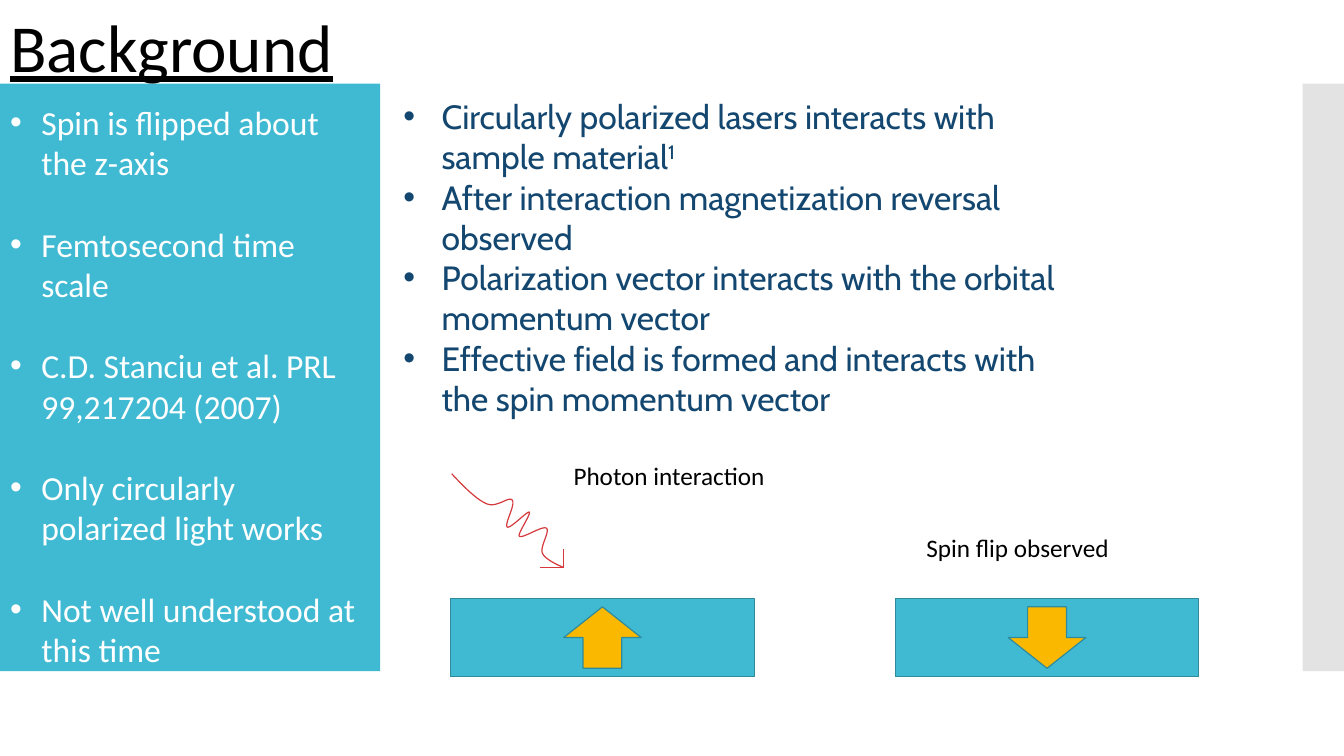
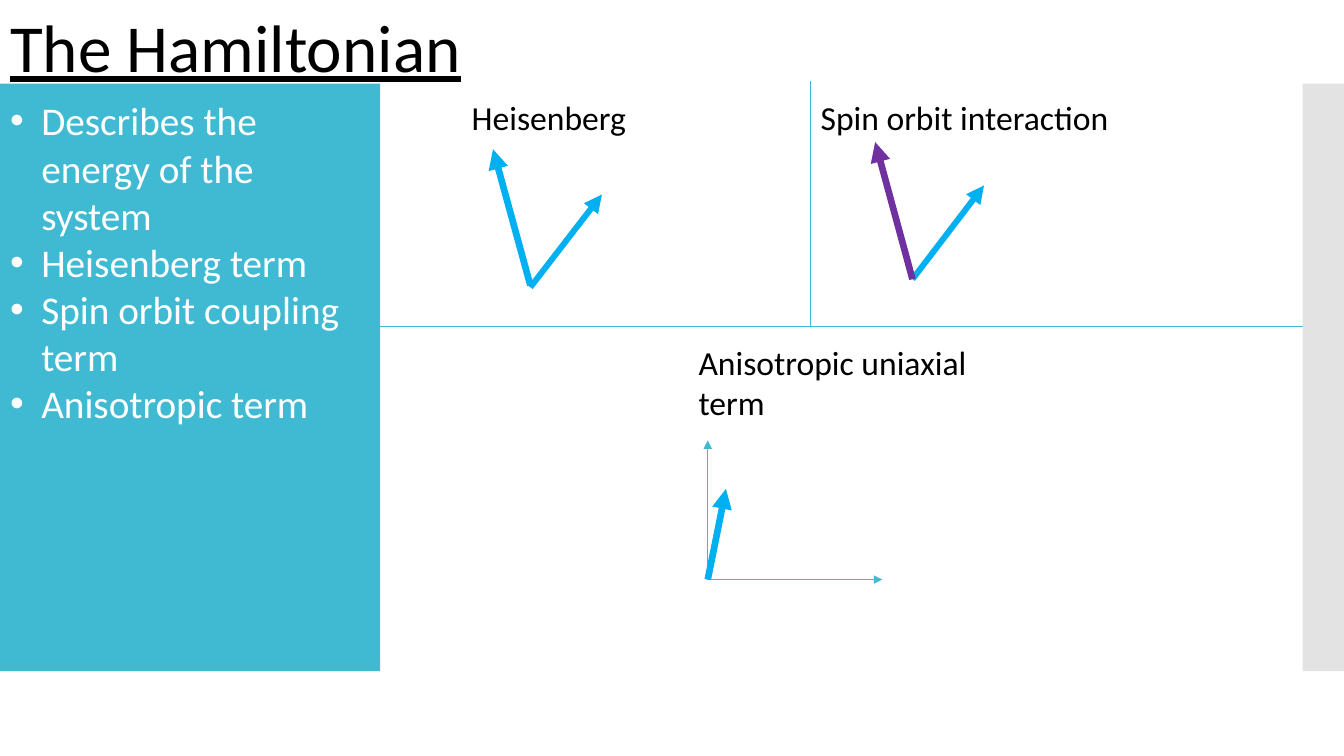
from lxml.etree import SubElement
from pptx import Presentation
from pptx.dml.color import RGBColor
from pptx.enum.shapes import MSO_CONNECTOR, MSO_SHAPE
from pptx.enum.text import MSO_ANCHOR, MSO_AUTO_SIZE, PP_ALIGN
from pptx.oxml.ns import qn
from pptx.util import Inches, Pt

hue = RGBColor.from_string
TEAL, EDGE, GOLD, GREY = "40BAD2", "2F8A9B", "FAB900", "C8C8C8"
BLACK, WHITE, NAVY = "000000", "FFFFFF", "134770"
RED, BLUE, PURPLE = "D5393D", "00B0F0", "7030A0"


def write(para, text, size, color, face="Calibri"):
    run = para.add_run()
    run.text = text
    run.font.size = Pt(size)
    run.font.name = face
    run.font.color.rgb = hue(color)
    return run


def draw(slide, start, end, color, width=0.75, arrow=True):
    """Add a straight line, with an arrowhead at its end unless told otherwise."""
    ends = [Inches(n) for n in (*start, *end)]
    line = slide.shapes.add_connector(MSO_CONNECTOR.STRAIGHT, *ends)
    line.line.color.rgb = hue(color)
    line.line.width = Pt(width)
    if arrow:
        SubElement(line.get_or_add_ln(), qn("a:tailEnd"), type="triangle")
    SubElement(line.element.spPr, qn("a:effectLst"))


prs = Presentation()
prs.slide_width, prs.slide_height = Inches(13.33), Inches(7.5)
spin = prs.slides.add_slide(prs.slide_layouts[3])
terms = prs.slides.add_slide(prs.slide_layouts[1])

# Side bands, shared through the master
tree = prs.slide_master.shapes.element
for left, width, color in ((0, 3.77, TEAL), (12.92, 0.41, GREY)):
    band = spin.shapes.add_shape(
        MSO_SHAPE.RECTANGLE, Inches(left), Inches(0.83), Inches(width), Inches(5.83))
    band.shadow.inherit = False
    band.fill.solid()
    band.fill.fore_color.rgb = hue(color)
    band.line.fill.background()
    if color == GREY:
        tint = band.element.find(".//" + qn("a:srgbClr"))
        SubElement(tint, qn("a:alpha"), val="50000")
    tree.insert(2, band.element)

# Titles
for slide, text, width in ((spin, "Background", 12.49), (terms, "The Hamiltonian", 9.76)):
    title = slide.shapes.title
    title.left, title.top = Inches(0), Inches(0)
    title.width, title.height = Inches(width), Inches(0.91)
    title.text_frame.auto_size = MSO_AUTO_SIZE.NONE
    title.text_frame.vertical_anchor = MSO_ANCHOR.TOP
    para = title.text_frame.paragraphs[0]
    para.alignment = PP_ALIGN.LEFT
    write(para, text, 48, BLACK).font.underline = True

# Bulleted lists: holder, place, indent, size, gap, colour, font, items
lists = (
    (spin.placeholders[1], (0, 0.96, 3.68, 5.76), 0.31, 24, 29.3, WHITE, "Calibri", (
        "Spin is flipped about the z-axis",
        "Femtosecond time scale",
        "C.D. Stanciu et al. PRL 99,217204 (2007)",
        "Only circularly polarized light works",
        "Not well understood at this time")),
    (spin.placeholders[2], (3.9, 0.9, 6.67, 3.33), 0.38, 24, 0, NAVY, "Cabin", (
        "Circularly polarized lasers interacts with sample material",
        "After interaction magnetization reversal observed",
        "Polarization vector interacts with the orbital momentum vector",
        "Effective field is formed and interacts with the spin momentum vector")),
    (terms.placeholders[1], (0, 0.91, 3.73, 3.4), 0.31, 28, 0, WHITE, "Calibri", (
        "Describes the energy of the system",
        "Heisenberg term",
        "Spin orbit coupling term",
        "Anisotropic term")),
)
for body, place, indent, size, gap, color, face, items in lists:
    body.left, body.top, body.width, body.height = [Inches(n) for n in place]
    frame = body.text_frame
    frame.auto_size = MSO_AUTO_SIZE.NONE
    for i, item in enumerate(items):
        para = frame.add_paragraph() if i else frame.paragraphs[0]
        para.space_before = Pt(gap if i else 0)
        props = para._p.get_or_add_pPr()
        props.set("marL", str(Inches(indent)))
        props.set("indent", str(-Inches(indent)))
        write(para, item, size, color, face)

lead = spin.placeholders[2].text_frame.paragraphs[0]
note = write(lead, "1", 24, NAVY, "Cabin")
note._r.get_or_add_rPr().set("baseline", "30000")

# Labels
for slide, text, size, *place in (
    (spin, "Photon interaction", 18, 5.59, 4.52, 2.37, 0.4),
    (spin, "Spin flip observed", 18, 9.09, 5.23, 2.64, 0.4),
    (terms, "Heisenberg", 24, 4.58, 0.91, 3.05, 0.5),
    (terms, "Spin orbit interaction", 24, 8.04, 0.91, 4.11, 0.5),
    (terms, "Anisotropic uniaxial term", 24, 6.83, 3.34, 2.88, 1.21),
):
    label = slide.shapes.add_textbox(*[Inches(n) for n in place])
    label.text_frame.word_wrap = True
    write(label.text_frame.paragraphs[0], text, size, BLACK)

# Samples before and after the spin flip
for left, turn in ((4.47, 180), (8.88, 0)):
    for kind, color, angle, *place in (
        (MSO_SHAPE.RECTANGLE, TEAL, 0, left, 5.94, 3.01, 0.77),
        (MSO_SHAPE.DOWN_ARROW, GOLD, turn, left + 1.12, 6.02, 0.77, 0.61),
    ):
        part = spin.shapes.add_shape(kind, *[Inches(n) for n in place])
        part.rotation = angle
        part.shadow.inherit = False
        part.fill.solid()
        part.fill.fore_color.rgb = hue(color)
        part.line.color.rgb = hue(EDGE)
        part.line.width = Pt(0.85)

# Photon: Bézier pieces, each two control points and an end, drawn in short steps
start = (4.48, 4.7)
curves = (
    ((4.6, 4.83), (4.73, 4.96), (4.83, 5)),
    ((4.93, 5.04), (5.05, 4.92), (5.08, 4.96)),
    ((5.12, 5), (5, 5.2), (5.03, 5.23)),
    ((5.06, 5.25), (5.23, 5.07), (5.25, 5.08)),
    ((5.27, 5.1), (5.13, 5.3), (5.15, 5.32)),
    ((5.18, 5.35), (5.38, 5.21), (5.42, 5.24)),
    ((5.46, 5.27), (5.35, 5.43), (5.38, 5.49)),
    ((5.41, 5.56), (5.59, 5.63), (5.59, 5.63)),
)
steps = 10
dots = []
last = start
for one, two, end in curves:
    for i in range(1, steps + 1):
        t = i / steps
        u = 1 - t
        dots.append([
            Inches(u**3 * a + 3 * u * u * t * b + 3 * u * t * t * c + t**3 * d)
            for a, b, c, d in zip(last, one, two, end)])
    last = end
pen = spin.shapes.build_freeform(Inches(start[0]), Inches(start[1]))
pen.add_line_segments(dots, close=False)
wave = pen.convert_to_shape()
wave.shadow.inherit = False
wave.fill.background()
wave.line.color.rgb = hue(RED)
wave.line.width = Pt(0.85)
for end in ((5.59, 5.45), (5.36, 5.63)):
    draw(spin, last, end, RED, arrow=False)

# Vectors of the three terms
for start, end, color, width in (
    ((5.26, 2.85), (5.97, 1.93), BLUE, 4.25),
    ((5.26, 2.83), (4.89, 1.48), BLUE, 4.75),
    ((9.05, 2.77), (9.76, 1.84), BLUE, 4.25),
    ((9.05, 2.77), (8.68, 1.41), PURPLE, 4.75),
    ((7.02, 5.75), (7.02, 4.37), TEAL, 0.75),
    ((7.02, 5.75), (8.75, 5.75), TEAL, 0.75),
    ((7.02, 5.75), (7.2, 4.85), BLUE, 4.75),
):
    draw(terms, start, end, color, width)

# Dividers between the terms
draw(terms, (3.73, 3.24), (12.92, 3.24), TEAL, arrow=False)
draw(terms, (8.04, 3.24), (8.04, 0.8), TEAL, arrow=False)

prs.save("out.pptx")
